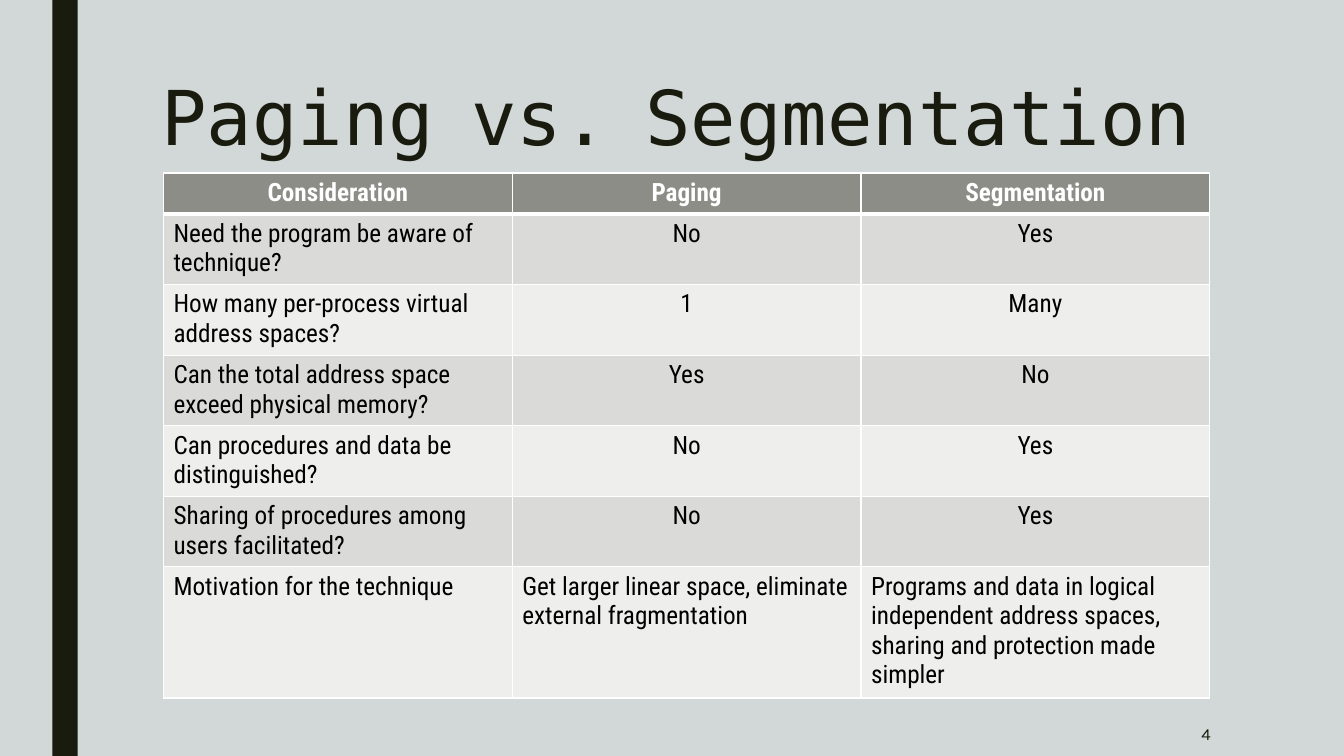
from lxml import etree
from pptx import Presentation
from pptx.dml.color import RGBColor
from pptx.enum.shapes import MSO_SHAPE
from pptx.enum.text import MSO_ANCHOR, PP_ALIGN
from pptx.oxml.ns import qn
from pptx.util import Cm, Pt

LEFT, CENTER, RIGHT = PP_ALIGN.LEFT, PP_ALIGN.CENTER, PP_ALIGN.RIGHT
TOP, MIDDLE = MSO_ANCHOR.TOP, MSO_ANCHOR.MIDDLE
RECTANGLE = MSO_SHAPE.RECTANGLE
TITLE_ONLY = 5

TITLE = [("Paging", 54), (" ", 44), ("vs.", 54), (" ", 44), ("Segmentation", 54)]
PAGE_NUMBER = "4"
ROWS = [
    ("Consideration", "Paging", "Segmentation"),
    ("Need the program be aware of technique?", "No", "Yes"),
    ("How many per-process virtual address spaces?", "1", "Many"),
    ("Can the total address space exceed physical memory?", "Yes", "No"),
    ("Can procedures and data be distinguished?", "No", "Yes"),
    ("Sharing of procedures among users facilitated?", "No", "Yes"),
    ("Motivation for the technique",
     "Get larger linear space, eliminate external fragmentation",
     "Programs and data in logical independent address spaces, "
     "sharing and protection made simpler"),
]
COLORS = {
    "background": "D2D8D8", "dark": "191B0E", "header": "8C8D86",
    "odd": "DADBD9", "even": "EEEEED", "white": "FFFFFF", "black": "000000",
}
FONTS = {
    "title": {"name": "DejaVu Sans Mono"},
    "number": {"name": "Karla", "size": Pt(12)},
    "header": {"name": "Roboto Condensed", "size": Pt(18), "bold": True},
    "body": {"name": "Roboto Condensed", "size": Pt(18), "bold": False},
}
COLUMN_WIDTH, ROW_HEIGHT = Cm(8.79), Cm(1.03)


def color(name):
    return RGBColor.from_string(COLORS[name])


def fill_solid(fill, name):
    fill.solid()
    fill.fore_color.rgb = color(name)


def add_run(paragraph, text, font_style, color_name, **extra):
    run = paragraph.add_run()
    run.text = text
    for attribute, value in {**FONTS[font_style], **extra}.items():
        setattr(run.font, attribute, value)
    run.font.color.rgb = color(color_name)


def set_borders(cell, widths):
    """Draw white cell edges; widths maps L, R, T, B to points, in that order."""
    properties = cell._tc.get_or_add_tcPr()
    for position, (side, width) in enumerate(widths.items()):
        line = etree.Element(qn(f"a:ln{side}"), w=str(Pt(width)))
        solid = etree.SubElement(line, qn("a:solidFill"))
        etree.SubElement(solid, qn("a:srgbClr"), val=COLORS["white"])
        properties.insert(position, line)


def add_title(slide):
    title = slide.shapes.title
    title.left, title.top, title.width, title.height = Cm(3.81), Cm(1.9), Cm(26.67), Cm(4.13)
    title.text_frame.vertical_anchor = TOP
    title.text_frame.word_wrap = True
    paragraph = title.text_frame.paragraphs[0]
    paragraph.alignment = LEFT
    paragraph.line_spacing = 0.89
    for text, size in TITLE:
        add_run(paragraph, text, "title", "dark", size=Pt(size))


def add_page_number(slide):
    box = slide.shapes.add_textbox(Cm(26.31), Cm(17.93), Cm(4.45), Cm(1.12))
    box.text_frame.word_wrap = True
    box.text_frame.vertical_anchor = MIDDLE
    paragraph = box.text_frame.paragraphs[0]
    paragraph.alignment = RIGHT
    add_run(paragraph, PAGE_NUMBER, "number", "dark")


def add_comparison(slide):
    columns = len(ROWS[0])
    table = slide.shapes.add_table(
        len(ROWS), columns, Cm(4.12), Cm(4.36),
        COLUMN_WIDTH * columns, ROW_HEIGHT * len(ROWS)).table
    for column in table.columns:
        column.width = COLUMN_WIDTH
    last = len(ROWS) - 1
    for row, texts in enumerate(ROWS):
        table.rows[row].height = ROW_HEIGHT
        header = row == 0
        band = "header" if header else ("even", "odd")[row % 2]
        for column, text in enumerate(texts):
            cell = table.cell(row, column)
            fill_solid(cell.fill, band)
            set_borders(cell, {"L": 1, "R": 1, "T": 3 if row == 1 else 1, "B": 3 if header else 1})
            paragraph = cell.text_frame.paragraphs[0]
            centered = header or (column > 0 and row < last)
            paragraph.alignment = CENTER if centered else LEFT
            add_run(paragraph, text, "header" if header else "body",
                    "white" if header else "black")


def main():
    presentation = Presentation()
    presentation.slide_width, presentation.slide_height = Cm(33.87), Cm(19.05)
    slide = presentation.slides.add_slide(presentation.slide_layouts[TITLE_ONLY])
    fill_solid(slide.background.fill, "background")
    side_bar = slide.shapes.add_shape(RECTANGLE, Cm(1.32), 0, Cm(0.64), presentation.slide_height)
    side_bar.shadow.inherit = False
    fill_solid(side_bar.fill, "dark")
    side_bar.line.fill.background()
    add_title(slide)
    add_page_number(slide)
    add_comparison(slide)
    presentation.save("out.pptx")


if __name__ == "__main__":
    main()
